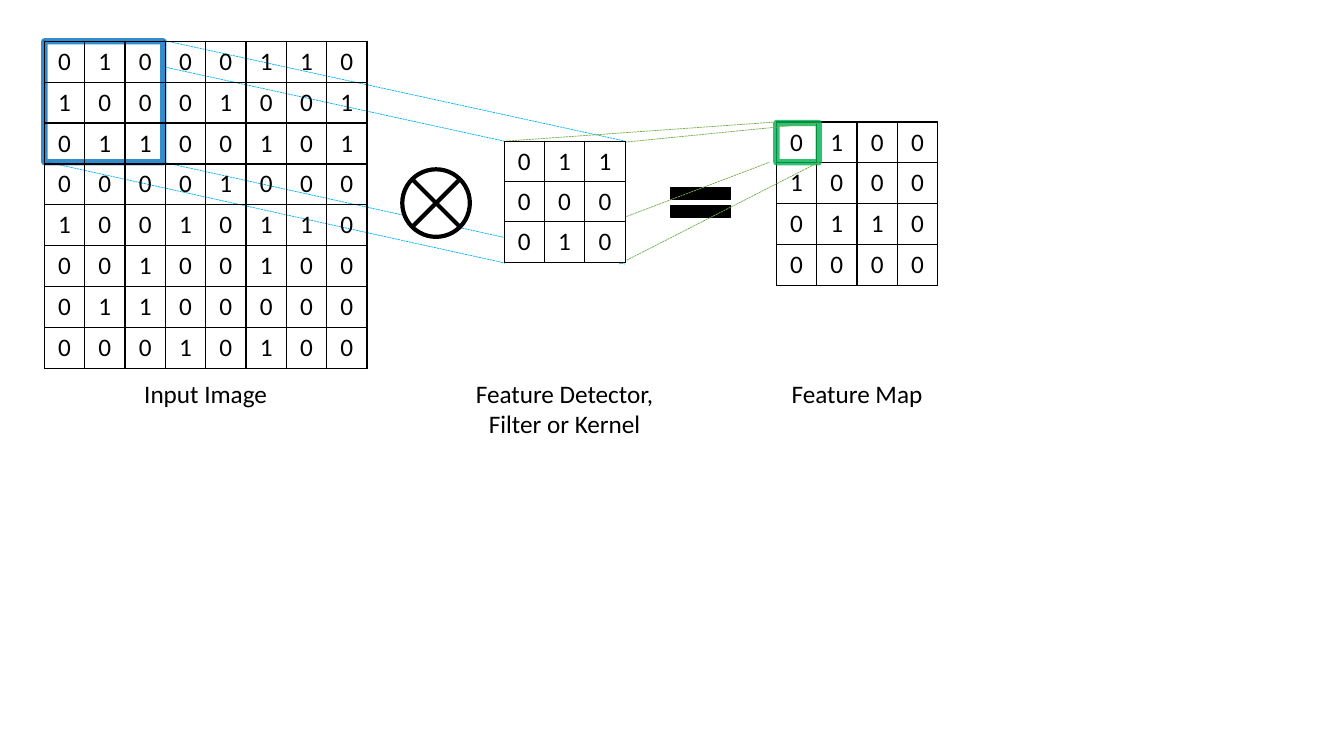
from lxml import etree
from pptx import Presentation
from pptx import util as u
from pptx.dml import color
from pptx.enum import dml, shapes, text
from pptx.oxml import ns

PX = 9144
CELL = 40
HUES = {"ink": "000000", "paper": "FFFFFF", "ray": "00B0F0", "scan": "0070C0",
        "leaf": "70AD47", "mark": "00B050"}
FONT = {"name": "Calibri", "size": u.Pt(18), "bold": False}
BARE = {"first_row": False, "horz_banding": False}
LABEL = {"word_wrap": True, "auto_size": text.MSO_AUTO_SIZE.SHAPE_TO_FIT_TEXT}

INPUT = ["01000110", "10001001", "01100101", "00001000",
         "10010110", "00100100", "01100000", "00010100"]
KERNEL = ["011", "000", "010"]
MAP = ["0100", "1000", "0110", "0000"]
SCANS = [(120, 121, 578, 222), (120, 0, 578, 100), (0, 0, 458, 100), (1, 120, 459, 221)]
SUMS = [(2, 0, 270, -19), (0, 121, 263, 21), (114, 122, 312, 21), (120, 1, 312, -18)]


def px(*nums):
    return [u.Emu(num * PX) for num in nums]


def put(item, form):
    for key, val in form.items():
        setattr(item, key, val)


def rgb(hue):
    return color.RGBColor.from_string(HUES[hue])


def sub(node, tag, **attrs):
    return etree.SubElement(node, ns.qn(tag), attrs)


def paint(fill, hue):
    if hue:
        fill.solid()
        fill.fore_color.rgb = rgb(hue)
    else:
        fill.background()


def write(frame, words):
    para = frame.paragraphs[0]
    para.alignment = text.PP_ALIGN.CENTER
    run = para.add_run()
    run.text = words
    put(run.font, FONT)
    run.font.color.rgb = rgb("ink")


def edge(cell):
    props = cell._tc.get_or_add_tcPr()
    for spot, side in enumerate("LRTB"):
        line = etree.Element(ns.qn("a:ln" + side), w=str(u.Pt(1)))
        sub(sub(line, "a:solidFill"), "a:srgbClr", val=HUES["ink"])
        props.insert(spot, line)


def grid(parts, box, rows, hue=None):
    left, top = box
    wide, high = len(rows[0]), len(rows)
    table = parts.add_table(high, wide, *px(left, top, wide * CELL, high * CELL)).table
    put(table, BARE)
    for r, row in enumerate(rows):
        for c, digit in enumerate(row):
            cell = table.cell(r, c)
            paint(cell.fill, hue)
            edge(cell)
            write(cell.text_frame, digit)


def form(parts, kind, box, fill, line, width, alpha=None):
    shape = parts.add_shape(kind, *px(*box))
    shape.shadow.inherit = False
    paint(shape.fill, fill)
    paint(shape.line.fill, line)
    shape.line.width = u.Pt(width)
    if alpha:
        for tint in shape.line._ln.iter(ns.qn("a:srgbClr")):
            sub(tint, "a:alpha", val=str(alpha * 1000))


def rays(parts, box, ends, hue):
    left, top = box
    for x1, y1, x2, y2 in ends:
        spots = px(left + x1, top + y1, left + x2, top + y2)
        ray = parts.add_connector(shapes.MSO_CONNECTOR.STRAIGHT, *spots)
        put(ray.line, {"width": u.Pt(0.5), "dash_style": dml.MSO_LINE.SQUARE_DOT})
        ray.line.color.rgb = rgb(hue)
        sub(ray._element.spPr, "a:effectLst")


def label(parts, box, words):
    frame = parts.add_textbox(*px(*box)).text_frame
    put(frame, LABEL)
    write(frame, words)


def scene(parts, box):
    left, top = box
    kind = shapes.MSO_SHAPE
    rays(parts, (left - 2, top - 1), SCANS, "ray")
    form(parts, kind.FLOWCHART_SUMMING_JUNCTION, (left + 355, top + 127, 67, 67),
         "paper", "ink", 3)
    form(parts, kind.RECTANGLE, (left, top, 118, 120), "paper", "scan", 4.5, 80)
    grid(parts, box, INPUT)
    form(parts, kind.MATH_EQUAL, (left + 611, top + 135, 80, 50), "ink", "ink", 1)
    grid(parts, (left + 726, top + 80), MAP)
    labels = [(39, 40, "Input Image"), (395, 71, "Feature Detector, Filter or Kernel"),
              (685, 40, "Feature Map")]
    for shift, high, words in labels:
        label(parts, (left + shift, top + 329, 242, high), words)
    form(parts, kind.RECTANGLE, (left + 726, top + 81, 42, 39), None, "mark", 4.5, 80)
    rays(parts, (left + 456, top + 99), SUMS, "leaf")
    grid(parts, (left + 456, top + 99), KERNEL, "paper")


def main():
    deck = Presentation()
    wide, high = px(1333, 750)
    put(deck, {"slide_width": wide, "slide_height": high})
    slide = deck.slides.add_slide(deck.slide_layouts[6])
    paint(slide.background.fill, "paper")
    scene(slide.shapes, (44, 41))
    deck.save("out.pptx")


if __name__ == "__main__":
    main()
